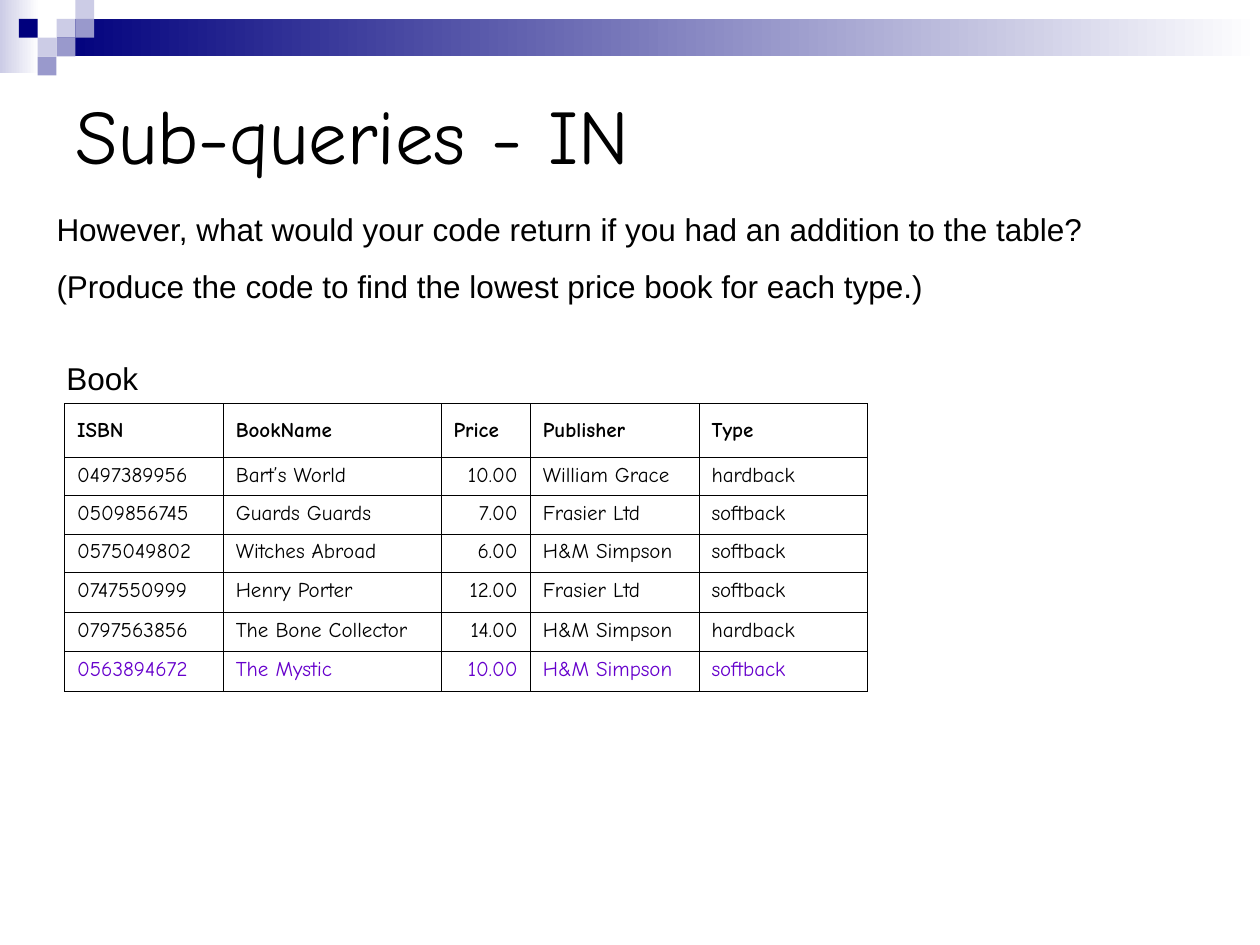
from dataclasses import dataclass
from lxml import etree
from pptx import Presentation as Deck
from pptx.dml.color import RGBColor as Rgb
from pptx.enum.shapes import MSO_SHAPE as Kind
from pptx.enum.text import MSO_ANCHOR as Anchor, PP_ALIGN as Align
from pptx.oxml.ns import qn
from pptx.util import Cm, Pt


@dataclass
class Theme:
    black: str = "000000"
    white: str = "FFFFFF"
    navy: str = "00007D"
    mid: str = "9999CC"
    pale: str = "CCCCE6"
    accent: str = "6600CC"
    hand: str = "Comic Neue"
    sans: str = "Arial"
    big: int = 44
    body: int = 18
    small: int = 12
    gap: float = 11.2
    line: float = 0.34


def style(para, name, size, color, bold=False):
    for run in para.runs:
        run.font.name = name
        run.font.size = Pt(size)
        run.font.bold = bold
        run.font.color.rgb = Rgb.from_string(color)


def block(left, top, width, height):
    box = slide.shapes.add_shape(Kind.RECTANGLE, Cm(left), Cm(top), Cm(width), Cm(height))
    box.shadow.inherit = False
    box.line.fill.background()
    return box


theme = Theme()
deck = Deck()
deck.slide_width, deck.slide_height = Cm(25.4), Cm(19.05)
slide = deck.slides.add_slide(deck.slide_layouts[5])

bands = [((0, 0, 0.79, 1.47), theme.pale), ((1.14, 0.38, 24.26, 0.76), theme.navy)]
for place, start in bands:
    fill = block(*place).fill
    fill.gradient()
    fill.gradient_angle = 0
    for stop, color in zip(fill.gradient_stops, (start, theme.white)):
        stop.color.rgb = Rgb.from_string(color)

unit = 0.38
tiles = [
    (3, 1, theme.pale), (4, 0, theme.pale), (4, 1, theme.mid), (2, 2, theme.pale),
    (1, 1, theme.navy), (3, 2, theme.mid), (2, 3, theme.mid),
]
for col, row, color in tiles:
    tile = block(col * unit, row * unit, unit, unit)
    tile.fill.solid()
    tile.fill.fore_color.rgb = Rgb.from_string(color)

title = slide.shapes.title
title.left, title.top, title.width, title.height = Cm(1.27), Cm(1.27), Cm(22.86), Cm(2.84)
title.text_frame.text = "Sub-queries - IN"
title.text_frame.vertical_anchor = Anchor.MIDDLE
head = title.text_frame.paragraphs[0]
head.alignment = Align.LEFT
style(head, theme.hand, theme.big, theme.black)

notes = [
    ((0.89, 4.11, 24, 2.18), [
        "However, what would your code return if you had an addition to the table?",
        "(Produce the code to find the lowest price book for each type.)",
    ]),
    ((1.09, 7.11, 7.39, 1.02), ["Book"]),
]
for place, lines in notes:
    frame = slide.shapes.add_textbox(*map(Cm, place)).text_frame
    frame.word_wrap = True
    frame.text = "\n".join(lines)
    for idx, para in enumerate(frame.paragraphs):
        if idx:
            para.space_before = Pt(theme.gap)
        style(para, theme.sans, theme.body, theme.black)

books = [
    ("ISBN", "BookName", "Price", "Publisher", "Type"),
    ("0497389956", "Bart’s World", "10.00", "William Grace", "hardback"),
    ("0509856745", "Guards Guards", "7.00", "Frasier Ltd", "softback"),
    ("0575049802", "Witches Abroad", "6.00", "H&M Simpson", "softback"),
    ("0747550999", "Henry Porter", "12.00", "Frasier Ltd", "softback"),
    ("0797563856", "The Bone Collector", "14.00", "H&M Simpson", "hardback"),
    ("0563894672", "The Mystic", "10.00", "H&M Simpson", "softback"),
]
widths = [3.2, 4.39, 1.8, 3.4, 3.4]
heights = [1.09, 0.77, 0.77, 0.77, 0.81, 0.79, 0.81]
last = len(books) - 1
table = slide.shapes.add_table(
    len(books), len(widths), Cm(1.3), Cm(8.13), Cm(sum(widths)), Cm(sum(heights))
).table
table.first_row = table.horz_banding = False
for col, width in zip(table.columns, widths):
    col.width = Cm(width)
for row, height in zip(table.rows, heights):
    row.height = Cm(height)

for r, book in enumerate(books):
    for c, text in enumerate(book):
        cell = table.cell(r, c)
        cell.text_frame.text = text
        cell.vertical_anchor = Anchor.TOP if r else Anchor.MIDDLE
        para = cell.text_frame.paragraphs[0]
        para.alignment = Align.RIGHT if r and c == 2 else Align.LEFT
        color = theme.accent if r == last else theme.black
        style(para, theme.hand, theme.small, color, bold=r == 0)
        props = cell._tc.get_or_add_tcPr()
        for side in ("a:lnL", "a:lnR", "a:lnT", "a:lnB"):
            edge = etree.SubElement(props, qn(side), w=str(Pt(theme.line)))
            solid = etree.SubElement(edge, qn("a:solidFill"))
            etree.SubElement(solid, qn("a:srgbClr"), val=theme.black)
        if r:
            cell.fill.solid()
            cell.fill.fore_color.rgb = Rgb.from_string(theme.white)
        else:
            cell.fill.background()

deck.save("out.pptx")
